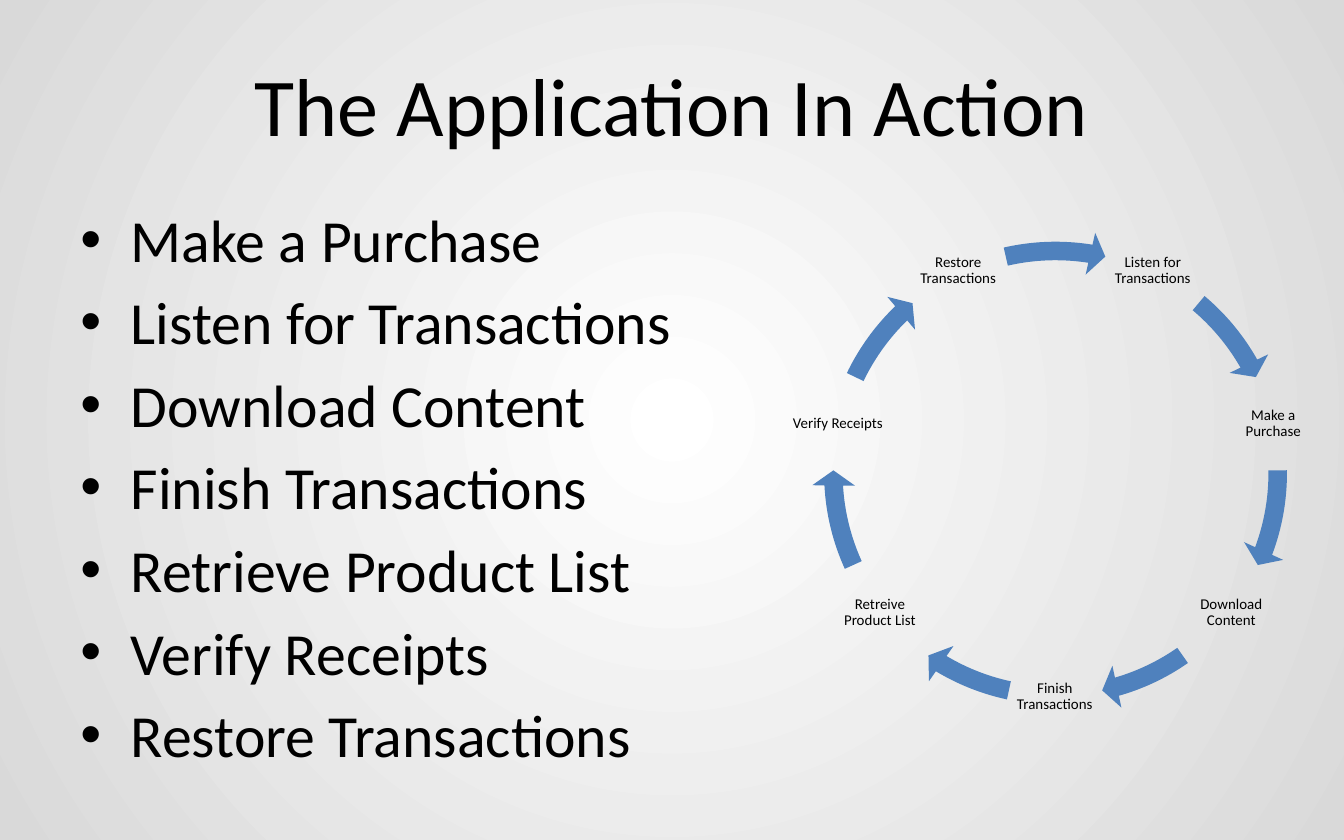
import math
from dataclasses import dataclass

import pptx
import pptx.dml.color
import pptx.enum.shapes
import pptx.enum.text
import pptx.oxml.ns
import pptx.oxml.xmlchemy
import pptx.util
from lxml import etree

EMU_PER_PX = 9525  # 96 px to the inch
ALIGN = pptx.enum.text.PP_ALIGN
ANCHOR = pptx.enum.text.MSO_ANCHOR
qn = pptx.oxml.ns.qn


@dataclass(frozen=True)
class Theme:
    font: str = "Calibri"
    text: str = "000000"
    arrow: str = "4F81BD"
    centre: str = "FFFFFF"
    edge: str = "D9D9D9"
    title_size: int = 44
    body_size: int = 32
    label_size: int = 8


STEPS = ["Make a Purchase", "Listen for Transactions", "Download Content",
         "Finish Transactions", "Retrieve Product List", "Verify Receipts",
         "Restore Transactions"]
CYCLE = ["Listen for Transactions", "Make a Purchase", "Download Content",
         "Finish Transactions", "Retreive Product List", "Verify Receipts",
         "Restore Transactions"]
# Start and end of the arrow after each cycle label, in degrees clockwise from east
ARROW_ANGLES = [(310.08, 330.47), (359.28, 20.52), (55.12, 73.97), (102.12, 120.97),
                (155.57, 176.81), (205.63, 226.01), (257.06, 279.03)]
CENTRE_X, CENTRE_Y = 754, 338
LABEL_RADIUS = 160
LABEL_SIZE = 67
RING_SIZE = 348


def px(length):
    return pptx.util.Emu(round(length) * EMU_PER_PX)


def rgb(value):
    return pptx.dml.color.RGBColor.from_string(value)


class Painter:
    """Draws elements on the current page in one theme."""

    def __init__(self, page, theme):
        self.page = page
        self.theme = theme

    def background(self):
        """Fill the page with a gradient that spreads from its centre."""
        fill = self.page.background.fill
        fill.gradient()
        for stop, colour in zip(fill.gradient_stops, (self.theme.centre, self.theme.edge)):
            stop.color.rgb = rgb(colour)
        gradient = self.page.element.find(".//" + qn("a:gradFill"))
        gradient.remove(gradient.find(qn("a:lin")))
        circle = etree.SubElement(gradient, qn("a:path"), {"path": "circle"})
        sides = dict.fromkeys("ltrb", "50000")
        etree.SubElement(circle, qn("a:fillToRect"), sides)

    def text(self, left, top, width, height, lines, size,
             align=ALIGN.CENTER, anchor=ANCHOR.MIDDLE):
        box = self.page.shapes.add_textbox(px(left), px(top), px(width), px(height))
        frame = box.text_frame
        frame.word_wrap = True
        frame.vertical_anchor = anchor
        frame.text = "\n".join(lines)
        for para in frame.paragraphs:
            para.alignment = align
            para.font.name = self.theme.font
            para.font.size = pptx.util.Pt(size)
            para.font.color.rgb = rgb(self.theme.text)
        return frame

    def title(self, left, top, width, height, line):
        self.text(left, top, width, height, [line], self.theme.title_size)

    def bullets(self, left, top, width, height, lines):
        frame = self.text(left, top, width, height, lines, self.theme.body_size,
                          ALIGN.LEFT, ANCHOR.TOP)
        indent = px(36)
        for para in frame.paragraphs:
            para.space_before = pptx.util.Pt(5.8)
            properties = para._p.get_or_add_pPr()
            properties.set("marL", str(indent))
            properties.set("indent", str(-indent))
            bullet_font = etree.Element(qn("a:buFont"), {"typeface": "Arial"})
            bullet = etree.Element(qn("a:buChar"), {"char": "•"})
            run_defaults = properties.find(qn("a:defRPr"))
            run_defaults.addprevious(bullet_font)
            run_defaults.addprevious(bullet)

    def label(self, centre_x, centre_y, line):
        frame = self.text(centre_x - LABEL_SIZE / 2, centre_y - LABEL_SIZE / 2,
                          LABEL_SIZE, LABEL_SIZE, [line], self.theme.label_size)
        frame.margin_left = frame.margin_right = px(1)
        frame.margin_top = frame.margin_bottom = px(1)
        frame.paragraphs[0].line_spacing = 0.9

    def arc_arrow(self, centre_x, centre_y, start, end):
        arrow = self.page.shapes.add_shape(
            pptx.enum.shapes.MSO_SHAPE.CIRCULAR_ARROW,
            px(centre_x - RING_SIZE / 2), px(centre_y - RING_SIZE / 2),
            px(RING_SIZE), px(RING_SIZE))
        # One degree is 0.6 in adjustment units
        values = (0.038, 3.91 * 0.6, end * 0.6, start * 0.6, 0.044)
        for index, value in enumerate(values):
            arrow.adjustments[index] = value
        arrow.shadow.inherit = False
        arrow.fill.solid()
        arrow.fill.fore_color.rgb = rgb(self.theme.arrow)
        arrow.line.fill.background()


def main():
    deck = pptx.Presentation()
    deck.slide_width, deck.slide_height = px(960), px(600)
    painter = Painter(deck.slides.add_slide(deck.slide_layouts[6]), Theme())
    painter.background()
    painter.title(48, 24, 864, 100, "The Application In Action")
    painter.bullets(48, 140, 864, 442, STEPS)

    step = 2 * math.pi / len(CYCLE)
    for index, (line, angles) in enumerate(zip(CYCLE, ARROW_ANGLES)):
        turn = (index + 0.5) * step
        painter.label(CENTRE_X + LABEL_RADIUS * math.sin(turn),
                      CENTRE_Y - LABEL_RADIUS * math.cos(turn), line)
        painter.arc_arrow(CENTRE_X, CENTRE_Y, *angles)
    deck.save("out.pptx")


if __name__ == "__main__":
    main()
